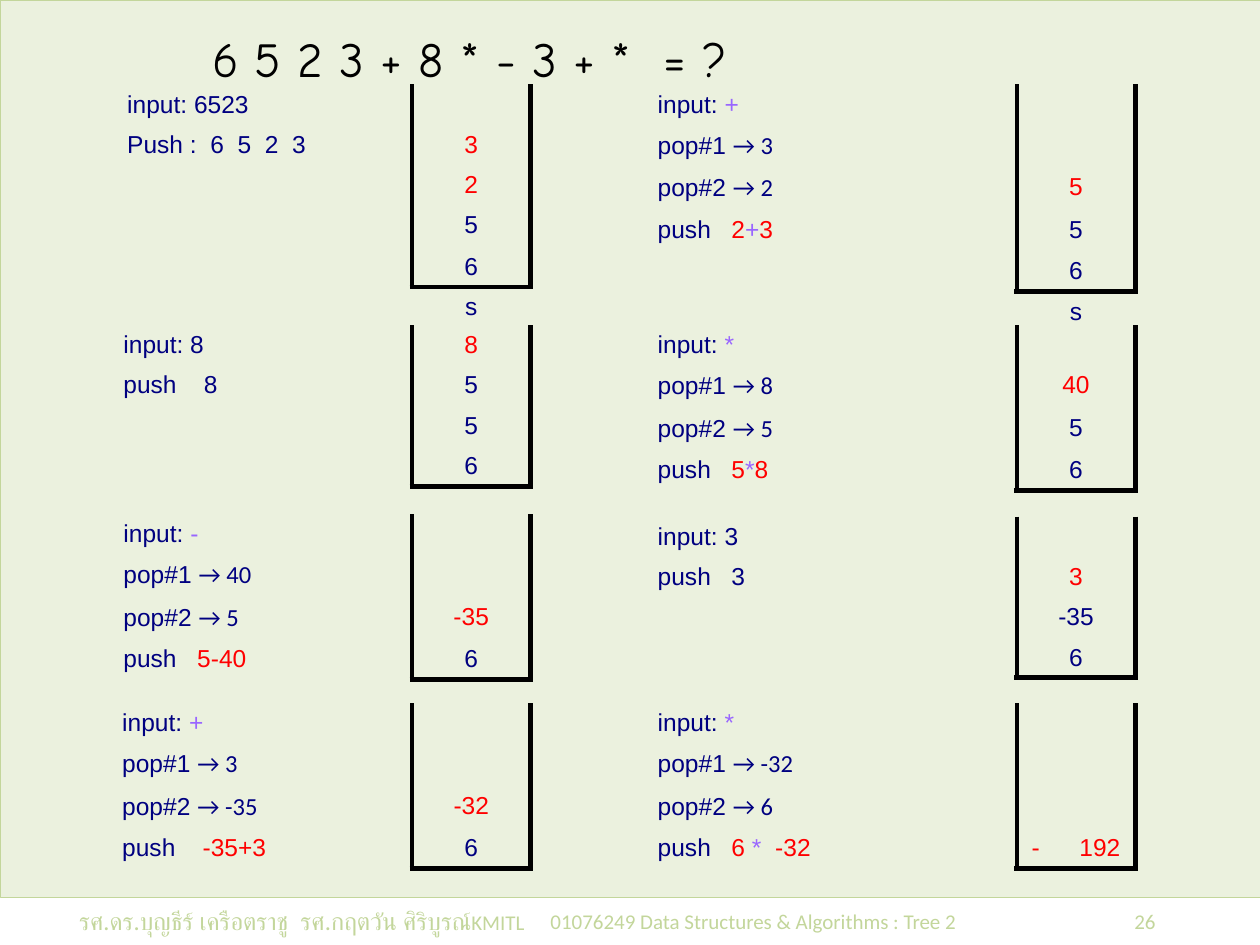
from lxml.etree import SubElement
from pptx import Presentation
from pptx.dml.color import RGBColor
from pptx.enum.shapes import MSO_SHAPE as Shape
from pptx.enum.text import MSO_ANCHOR as Anchor, MSO_AUTO_SIZE as AutoSize, PP_ALIGN as Align
from pptx.oxml.ns import qn
from pptx.util import Inches, Pt

NAVY = RGBColor(0x00, 0x00, 0x80)
RED = RGBColor(0xFF, 0x00, 0x00)
VIOLET = RGBColor(0x99, 0x66, 0xFF)
BLACK = RGBColor(0x00, 0x00, 0x00)
PALE_GREEN = RGBColor(0xEB, 0xF1, 0xDE)
SOFT_GREEN = RGBColor(0xC3, 0xD6, 0x9B)

EXPRESSION = "6 5 2 3 + 8 * - 3 + *  = ? "
FOOTERS = [  # left, width, (text, size) runs, alignment
    (0.53, 3.8, [("รศ.ดร.บุญธีร์ เครือตราชู  รศ.กฤตวัน ศิริบูรณ์", 14), ("KMITL", 12)], Align.LEFT),
    (4.27, 3.8, [("01076249 Data Structures & Algorithms : Tree 2", 12)], Align.LEFT),
    (8.27, 1.0, [("26", 12)], Align.RIGHT),
]


def operator_steps(operator, first, second, *push):
    return [
        [("input: ", NAVY), (operator, VIOLET)],
        [("pop#1 ", NAVY), (f"→ {first}", NAVY)],
        [("pop#2 ", NAVY), (f"→ {second}", NAVY)],
        list(push),
    ]


def operand_steps(*lines):
    return [[(line, NAVY)] for line in lines]


PUSH = ("push   ", NAVY)
TALL_ROWS = [0.32, 0.32, 0.32, 0.33, 0.32, 0.32]
SHORT_ROWS = [0.32] * 4
OPEN_ROWS = SHORT_ROWS + [0.39]
# left, top, row heights, steps, new stack values, older stack values, stack name
PANELS = [
    (0.91, 0.67, TALL_ROWS, operand_steps("input: 6523", "Push :  6  5  2  3"),
     ["3", "2"], ["5", "6"], "s"),
    (5.12, 0.67, TALL_ROWS,
     operator_steps("+", 3, 2, PUSH, ("2", RED), ("+", VIOLET), ("3", RED)),
     ["5"], ["5", "6"], "s"),
    (0.88, 2.58, OPEN_ROWS, operand_steps("input: 8", "push    8"),
     ["8"], ["5", "5", "6"], ""),
    (5.12, 2.58, OPEN_ROWS,
     operator_steps("*", 8, 5, PUSH, ("5", RED), ("*", VIOLET), ("8", RED)),
     ["40"], ["5", "6"], ""),
    (0.88, 4.08, OPEN_ROWS, operator_steps("-", 40, 5, PUSH, ("5-40", RED)),
     ["-35"], ["6"], ""),
    (5.12, 4.1, OPEN_ROWS, operand_steps("input: 3", "push   3"),
     ["3"], ["-35", "6"], ""),
    (0.87, 5.58, SHORT_ROWS,
     operator_steps("+", 3, -35, ("push", NAVY), ("    -35+3", RED)),
     ["-32"], ["6"], ""),
    (5.12, 5.58, SHORT_ROWS,
     operator_steps("*", -32, 6, PUSH, ("6 ", RED), ("*  ", VIOLET), ("-32", RED)),
     ["-\t192"], [], ""),
]
STACK_WIDTH = 0.94
LEFT_STACK, RIGHT_STACK = 3.27, 8.07
NO_GRID_STYLE = "{2D5ABB26-0587-4C30-8999-92F81FD0307C}"


def add_run(paragraph, text, font_name, size, colour):
    run = paragraph.add_run()
    run.text = text
    run.font.name, run.font.size = font_name, Pt(size)
    run.font.color.rgb = colour


def fill_cell(cell, runs, borders, align=Align.LEFT):
    """Write coloured runs and draw 3 pt borders on the sides named in borders."""
    properties = cell._tc.get_or_add_tcPr()
    for side in "LRTB":
        if side in borders:
            line = SubElement(properties, qn(f"a:ln{side}"), w=str(Pt(3)))
            SubElement(SubElement(line, qn("a:solidFill")), qn("a:srgbClr"), val=str(BLACK))
    cell.fill.background()

    paragraph = cell.text_frame.paragraphs[0]
    paragraph.alignment = align
    layout = paragraph._p.get_or_add_pPr()
    layout.set("marL", str(Inches(0.38)))
    layout.set("indent", str(-Inches(0.38)))
    if any("\t" in text for text, _ in runs):
        tabs = SubElement(layout, qn("a:tabLst"))
        SubElement(tabs, qn("a:tab"), pos=str(Inches(0.3)), algn="ctr")
    for text, colour in runs:
        add_run(paragraph, text, "Calibri" if text.startswith("→") else "Arial", 14, colour)
    if not runs:  # keeps an empty row as low as a written one
        end = SubElement(paragraph._p, qn("a:endParaRPr"), sz="1400")
        SubElement(end, qn("a:latin"), typeface="Arial")


def add_panel(slide, left, top, heights, steps, new, old, stack_name):
    stack_left = LEFT_STACK if left < 5 else RIGHT_STACK
    widths = [stack_left - left, STACK_WIDTH]
    table = slide.shapes.add_table(
        len(heights), 2, Inches(left), Inches(top),
        Inches(sum(widths)), Inches(sum(heights))).table
    table.first_row = table.horz_banding = False
    table._tbl.tblPr.find(qn("a:tableStyleId")).text = NO_GRID_STYLE
    for column, width in zip(table.columns, widths):
        column.width = Inches(width)
    for row, height in zip(table.rows, heights):
        row.height = Inches(height)

    floor = len(heights) - 1 if heights is SHORT_ROWS else len(heights) - 2
    values = [[(value, RED)] for value in new] + [[(value, NAVY)] for value in old]
    stack = [[]] * (floor + 1 - len(values)) + values
    for index in range(len(heights)):
        inside = index <= floor
        step = steps[index] if index < len(steps) else []
        fill_cell(table.cell(index, 0), step, "R" if inside else "")
        if inside:
            fill_cell(table.cell(index, 1), stack[index],
                      "LRB" if index == floor else "LR", Align.CENTER)
        else:
            fill_cell(table.cell(index, 1), [(stack_name, NAVY)] if stack_name else [],
                      "T", Align.CENTER)


def main():
    deck = Presentation()
    deck.slide_width, deck.slide_height = Inches(10), Inches(7.5)
    slide = deck.slides.add_slide(deck.slide_layouts[5])

    title = slide.shapes.title
    backdrop = slide.shapes.add_shape(Shape.RECTANGLE, 0, 0, Inches(10), Inches(7.12))
    backdrop.shadow.inherit = False
    backdrop.fill.solid()
    backdrop.fill.fore_color.rgb = PALE_GREEN
    backdrop.line.color.rgb = SOFT_GREEN
    backdrop.line.width = Pt(0.25)
    title._element.addprevious(backdrop._element)

    title.left, title.top = 0, Inches(0.17)
    title.width, title.height = Inches(7.58), Inches(0.58)
    frame = title.text_frame
    frame.auto_size = AutoSize.NONE
    frame.vertical_anchor = Anchor.MIDDLE
    frame.paragraphs[0].alignment = Align.CENTER
    add_run(frame.paragraphs[0], EXPRESSION, "Comic Neue", 28, BLACK)

    for panel in PANELS:
        add_panel(slide, *panel)

    for left, width, runs, align in FOOTERS:
        footer = slide.shapes.add_textbox(
            Inches(left), Inches(7.12), Inches(width), Inches(0.38)).text_frame
        footer.word_wrap = True
        footer.vertical_anchor = Anchor.MIDDLE
        footer.paragraphs[0].alignment = align
        for text, size in runs:
            add_run(footer.paragraphs[0], text, "Calibri", size, SOFT_GREEN)

    deck.save("out.pptx")


if __name__ == "__main__":
    main()
